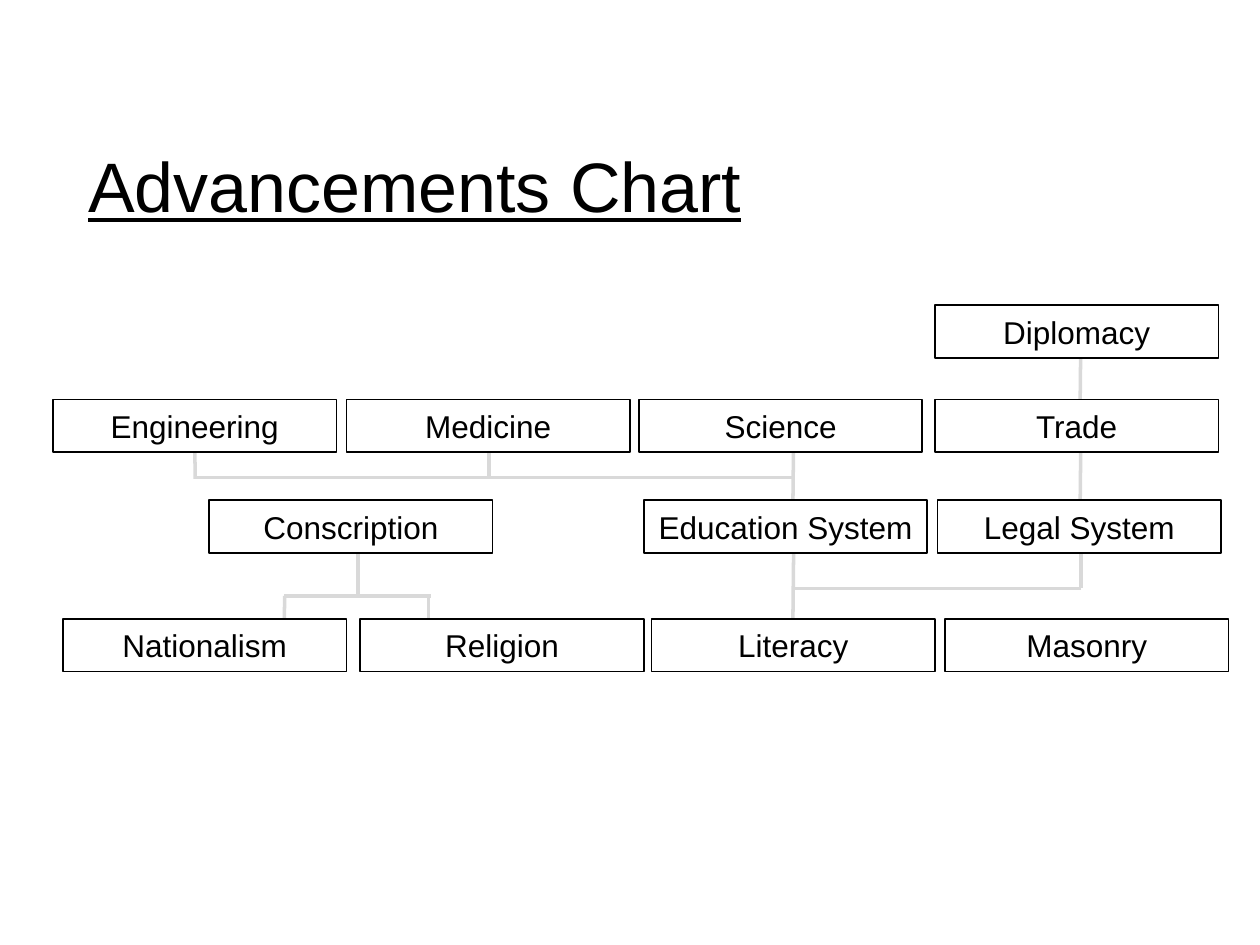
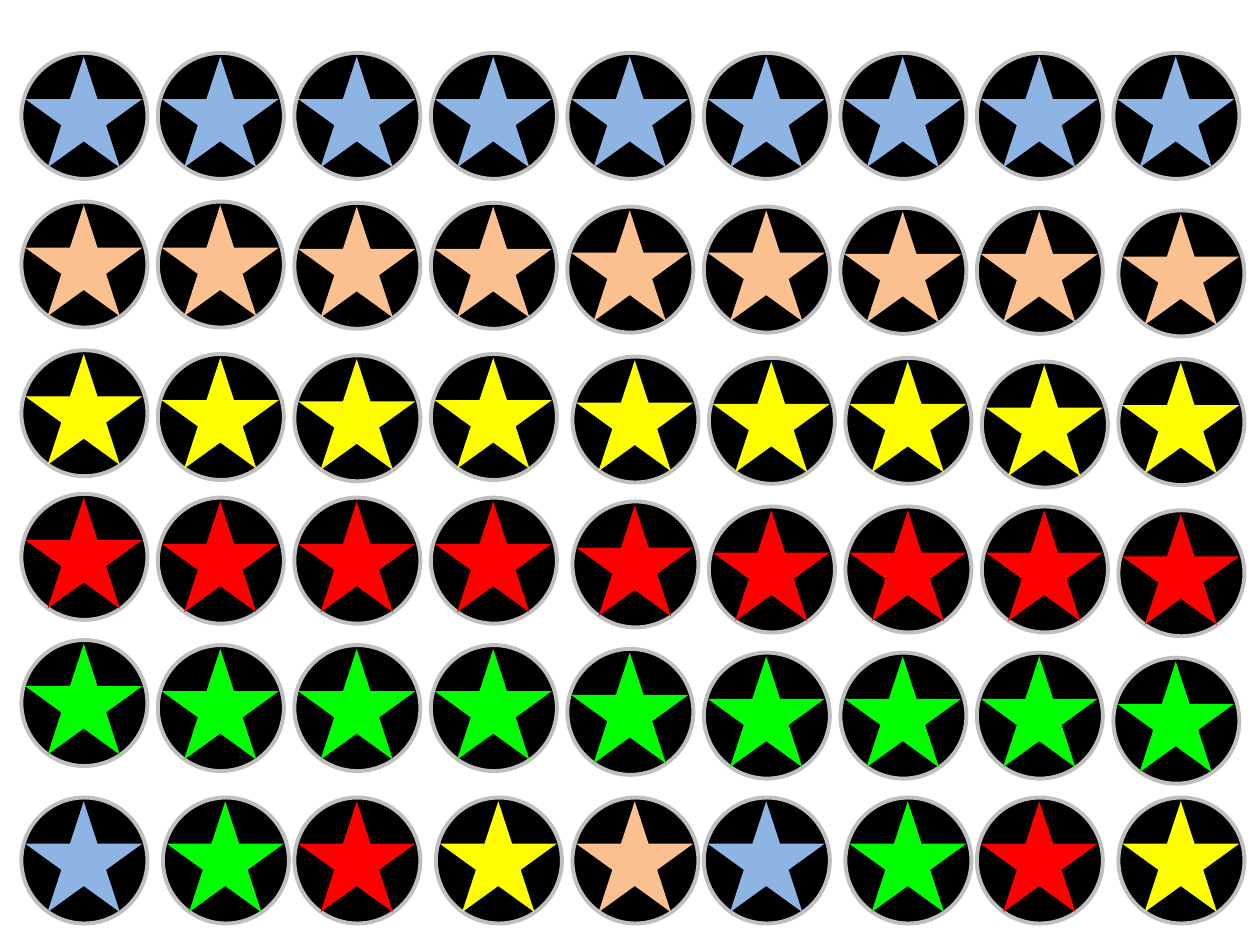
from pptx import Presentation, util as u
from pptx.dml.color import RGBColor
from pptx.enum import shapes, text
from pptx.oxml.ns import qn
from lxml import etree

FONT = "Arial"
BLACK = RGBColor(0x00, 0x00, 0x00)
WHITE = RGBColor(0xFF, 0xFF, 0xFF)
PALE = RGBColor(0xD9, 0xD9, 0xD9)
RIM = RGBColor(0xBF, 0xBF, 0xBF)
STARS = {
    "B": RGBColor(0x8E, 0xB4, 0xE3),
    "O": RGBColor(0xFA, 0xC0, 0x90),
    "Y": RGBColor(0xFF, 0xFF, 0x00),
    "R": RGBColor(0xFF, 0x00, 0x00),
    "G": RGBColor(0x00, 0xFF, 0x00),
}

# Advancement chart, measured from its top left corner
BOX_W, BOX_H = 2.25, 0.42
NODES = [  # top, then (left, name) for each box of the row
    (0, [(7, "Diplomacy")]),
    (0.75, [(0, "Engineering"), (2.33, "Medicine"), (4.65, "Science"), (7, "Trade")]),
    (1.55, [(1.24, "Conscription"), (4.69, "Education System"), (7.02, "Legal System")]),
    (2.49, [(0.08, "Nationalism"), (2.44, "Religion"), (4.75, "Literacy"), (7.08, "Masonry")]),
]
LINKS = [  # x1, y1, x2, y2
    # Engineering, Medicine and Science meet
    (1.12, 0.75, 1.13, 1.38), (3.46, 0.75, 3.46, 1.36),
    (5.88, 0.91, 5.87, 1.87), (5.88, 1.37, 1.12, 1.37),
    # Diplomacy, Trade, Legal System
    (8.16, 0.08, 8.15, 1.04), (8.16, 0.9, 8.15, 1.86),
    # Conscription to Nationalism and Religion
    (2.42, 1.76, 2.42, 2.31), (3, 2.31, 1.83, 2.31),
    (1.84, 2.31, 1.83, 2.79), (2.98, 2.31, 2.98, 2.79),
    # Education System and Legal System to Literacy
    (5.88, 1.83, 5.87, 2.79), (8.16, 1.7, 8.16, 2.25), (8.16, 2.25, 5.88, 2.25),
]

# Token sheet: star colours, columns shifted right, top of each token
STEP, SHIFT = 13 / 12, 0.04
ROWS = [
    ("BBBBBBBBB", (), [0.42] * 9),
    ("OOOOOOOOO", (8,), [1.6, 1.6, 1.61, 1.61, 1.64, 1.64, 1.65, 1.65, 1.67]),
    ("YYYYYYYYY", (4, 5, 6, 7, 8), [2.78, 2.81, 2.82, 2.81, 2.83, 2.84, 2.84, 2.87, 2.85]),
    ("RRRRRRRRR", (4, 5, 6, 7, 8), [3.92, 3.95, 3.95, 3.95, 3.98, 4.02, 4.02, 4.02, 4.05]),
    ("GGGGGGGGG", (), [5.08, 5.12, 5.12, 5.12, 5.15, 5.18, 5.18, 5.18, 5.22]),
    ("BGRYOBGRY", (1, 3, 4, 6, 8), [6.33] * 9),
]


def shape(parent, kind, x, y, w, h, fill, line=None, width=1):
    """Add a filled preset shape; without a line colour it has no outline."""
    item = parent.add_shape(kind, *map(u.Inches, (x, y, w, h)))
    item.shadow.inherit = False
    item.fill.solid()
    item.fill.fore_color.rgb = fill
    if line is None:
        item.line.fill.background()
    else:
        item.line.color.rgb = line
        item.line.width = u.Pt(width)
    return item


def write(frame, words, size, under=None):
    """Put one centred black paragraph into a text frame."""
    para = frame.paragraphs[0]
    para.text = words
    para.alignment = text.PP_ALIGN.CENTER
    para.font.name = FONT
    para.font.size = u.Pt(size)
    para.font.color.rgb = BLACK
    para.font.underline = under


def title(slide, words, x, y, w, h):
    """Add the underlined slide title."""
    frame = slide.shapes.add_textbox(*map(u.Inches, (x, y, w, h))).text_frame
    frame.word_wrap = True
    frame.auto_size = text.MSO_AUTO_SIZE.SHAPE_TO_FIT_TEXT
    write(frame, words, 40, True)


def link(slide, x1, y1, x2, y2):
    """Add a pale line without a shadow."""
    line = slide.shapes.add_connector(
        shapes.MSO_CONNECTOR.STRAIGHT, *map(u.Inches, (x1, y1, x2, y2)))
    line.line.color.rgb = PALE
    line.line.width = u.Pt(2)
    etree.SubElement(line._element.spPr, qn("a:effectLst"))


def node(slide, words, x, y):
    """Add a white box that names an advancement."""
    box = shape(slide.shapes, shapes.MSO_SHAPE.RECTANGLE, x, y, BOX_W, BOX_H, WHITE, BLACK)
    box.text_frame.vertical_anchor = text.MSO_ANCHOR.MIDDLE
    box.text_frame.word_wrap = True
    write(box.text_frame, words, 18)


def tree(slide, x, y):
    """Draw the chart with its corner at x, y: links behind, boxes in front."""
    for x1, y1, x2, y2 in LINKS:
        link(slide, x + x1, y + y1, x + x2, y + y2)
    for top, row in NODES:
        for left, words in row:
            node(slide, words, x + left, y + top)


def token(slide, x, y, fill):
    """Add a black disc with a star, as one group."""
    group = slide.shapes.add_group_shape().shapes
    shape(group, shapes.MSO_SHAPE.OVAL, x, y, 1, 1, BLACK, RIM, 2.25)
    shape(group, shapes.MSO_SHAPE.STAR_5_POINT, x + 0.03, y + 0.03, 0.93, 0.88, fill)


def sheet(slide, x):
    """Lay out the rows of tokens from the left edge x."""
    for keys, moved, tops in ROWS:
        for col, (key, top) in enumerate(zip(keys, tops)):
            left = x + col * STEP + (SHIFT if col in moved else 0)
            token(slide, left, top, STARS[key])


def main():
    """Build both slides and save them."""
    deck = Presentation()
    deck.slide_width, deck.slide_height = u.Inches(10), u.Inches(7.5)
    blank = deck.slide_layouts[6]
    chart = deck.slides.add_slide(blank)
    tree(chart, 0.42, 2.42)
    title(chart, "Advancements Chart", 0.5, 1.08, 5.58, 0.77)
    sheet(deck.slides.add_slide(blank), 0.17)
    deck.save("out.pptx")


main()
